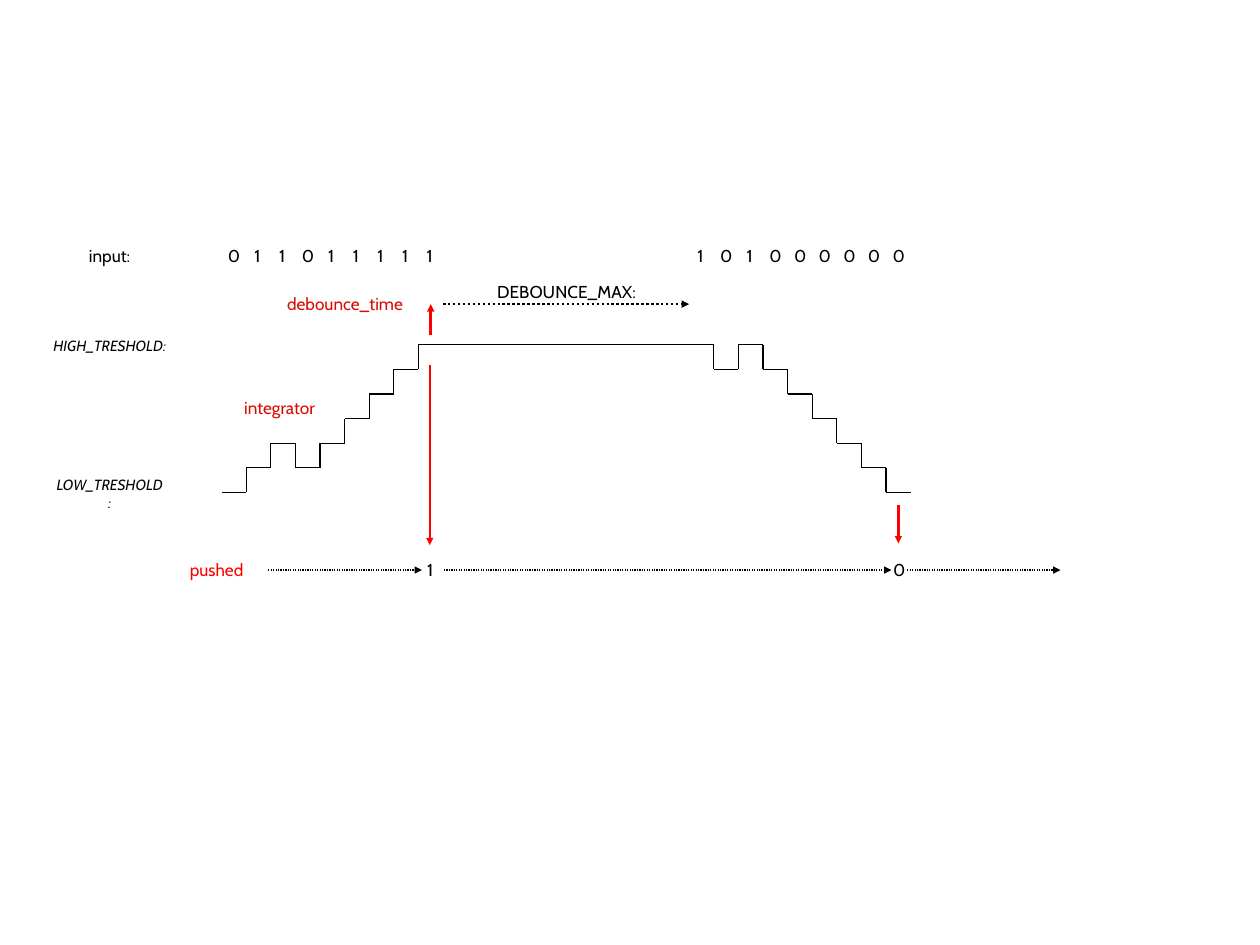
"""Timing diagram of a button debouncer: input bits, integrator steps and pushed state."""
from lxml import etree
from pptx import Presentation
from pptx import util as u
from pptx.dml.color import RGBColor
from pptx.enum import dml, shapes, text
from pptx.oxml.ns import qn

BLACK, RED, DARK_RED = "000000", "FF0000", "D90B00"
CELL = u.Inches(10) / 36
BIT_ROW, PUSHED_ROW, LOW_ROW = 10.38, 23.15, 20
BIT_SHIFT = 0.46

prs = Presentation()
prs.slide_width, prs.slide_height = u.Inches(14.22), u.Inches(10.66)
s = prs.slides.add_slide(prs.slide_layouts[6])


def add_line(x1, y1, x2, y2, color=BLACK, width=1, dotted=False, arrow=False):
    ends = [round(v * CELL) for v in (x1, y1, x2, y2)]
    c = s.shapes.add_connector(shapes.MSO_CONNECTOR.STRAIGHT, *ends)
    c.line.color.rgb = RGBColor.from_string(color)
    c.line.width = u.Pt(width)
    if dotted:
        c.line.dash_style = dml.MSO_LINE.ROUND_DOT
    if arrow:
        etree.SubElement(c.line._get_or_add_ln(), qn("a:tailEnd"), type="triangle")
    etree.SubElement(c._element.spPr, qn("a:effectLst"))


def add_label(words, x, y, width=0.11, color=BLACK, size=14, italic=False, wrap=False):
    w, h = u.Inches(width), u.Inches(size / 60)
    sp = s.shapes.add_textbox(round(x * CELL - w / 2), round(y * CELL - h / 2), w, h)
    tf = sp.text_frame
    frame = dict(margin_left=0, margin_right=0, margin_top=0, margin_bottom=0,
                 vertical_anchor=text.MSO_ANCHOR.MIDDLE, word_wrap=wrap,
                 auto_size=text.MSO_AUTO_SIZE.SHAPE_TO_FIT_TEXT)
    for name, value in frame.items():
        setattr(tf, name, value)
    p = tf.paragraphs[0]
    p.alignment = text.PP_ALIGN.CENTER
    r = p.add_run()
    r.text = words
    for name, value in dict(name="Cabin", size=u.Pt(size), italic=italic).items():
        setattr(r.font, name, value)
    r.font.color.rgb = RGBColor.from_string(color)


for start, bits, levels in [
    (9, "011011111", [0, 1, 2, 1, 2, 3, 4, 5, 6]),
    (28, "101000000", [6, 5, 6, 5, 4, 3, 2, 1, 0]),
]:
    for i, (bit, level) in enumerate(zip(bits, levels)):
        col, row = start + i, LOW_ROW - level
        add_label(bit, col + BIT_SHIFT, BIT_ROW)
        add_line(col, row, col + 1, row)
        if i:
            add_line(col, LOW_ROW - levels[i - 1], col, row)
add_line(18, 14, 28, 14)

for label in [
    ("input:", 4.45, BIT_ROW, 0.53),
    ("HIGH_TRESHOLD:", 4.46, 14.04, 1.28, BLACK, 12, True),
    ("LOW_TRESHOLD:", 4.46, 20.05, 1.22, BLACK, 12, True, True),
    ("integrator", 11.36, 16.54, 0.93, DARK_RED),
    ("DEBOUNCE_MAX:", 23.02, 11.83, 1.61),
    ("debounce_time", 14.02, 12.33, 1.41, DARK_RED),
    ("pushed", 8.8, PUSHED_ROW, 0.69, RED),
    ("1", 17.48, PUSHED_ROW),
    ("0", 36.48, PUSHED_ROW),
]:
    add_label(*label)

add_line(18, 12.35, 28, 12.35, width=2, dotted=True, arrow=True)
for x1, x2 in [(10.9, 17.14), (18.04, 36.22), (36.86, 43.09)]:
    add_line(x1, PUSHED_ROW, x2, PUSHED_ROW, dotted=True, arrow=True)
for x, y1, y2 in [(17.46, 14.83, 22.14), (36.5, 20.52, 22.07), (17.5, 13.61, 12.35)]:
    add_line(x, y1, x, y2, color=RED, width=2, arrow=True)

prs.save("out.pptx")
